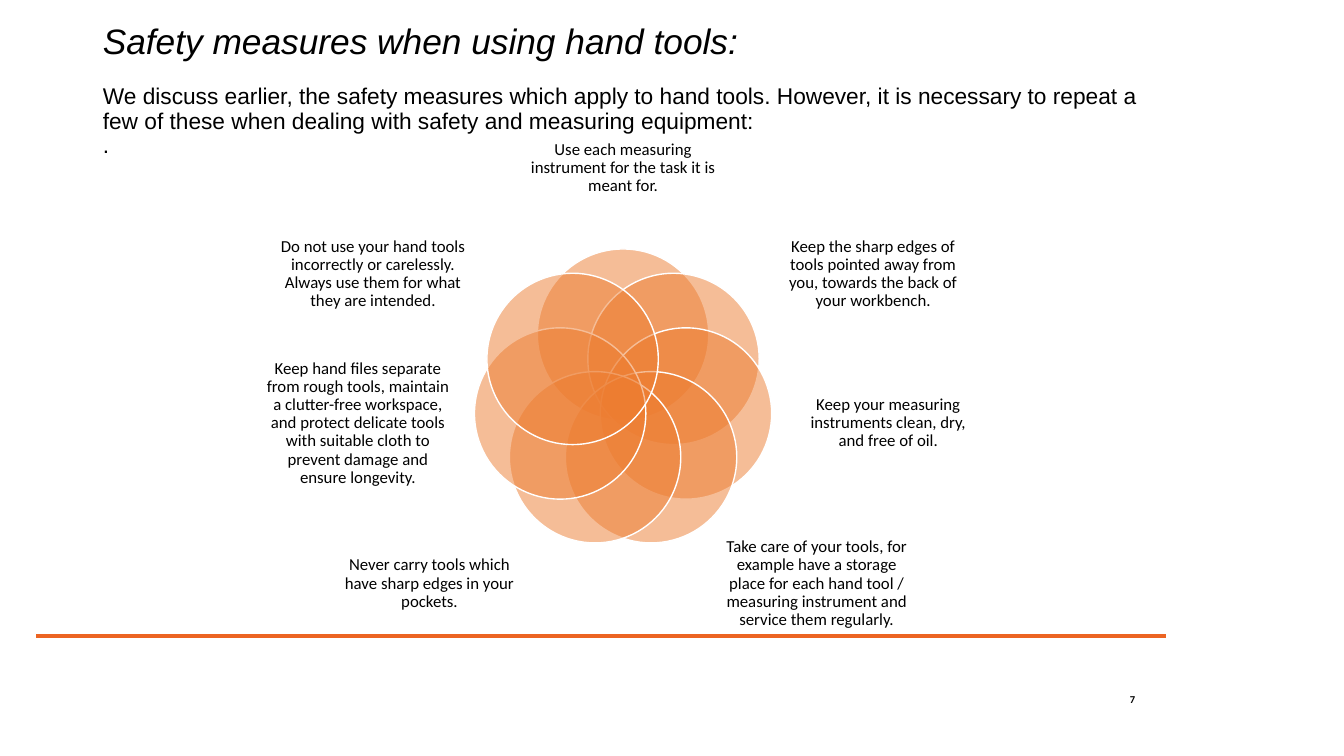
from math import cos, pi, sin

from lxml.etree import SubElement
from pptx import Presentation
from pptx.dml.color import RGBColor
from pptx.enum.shapes import MSO_CONNECTOR, MSO_SHAPE
from pptx.enum.text import MSO_ANCHOR, MSO_AUTO_SIZE, PP_ALIGN
from pptx.oxml.ns import qn
from pptx.util import Inches, Pt

HEADING = [
    ("Safety measures when using hand tools:", 25.2, True, 0),
    ("We discuss earlier, the safety measures which apply to hand tools. However, it is "
     "necessary to repeat a few of these when dealing with safety and measuring equipment:",
     16.2, False, 16.8),
    (".", 16.2, False, 0),
]
MEASURES = [
    "Use each measuring instrument for the task it is meant for.",
    "Keep the sharp edges of tools pointed away from you, towards the back of your workbench.",
    "Keep your measuring instruments clean, dry, and free of oil.",
    "Take care of your tools, for example have a storage place for each hand tool / "
    "measuring instrument and service them regularly.",
    "Never carry tools which have sharp edges in your pockets.",
    "Keep hand files separate from rough tools, maintain a clutter-free workspace, and "
    "protect delicate tools with suitable cloth to prevent damage and ensure longevity.",
    "Do not use your hand tools incorrectly or carelessly. Always use them for what they "
    "are intended.",
]
PAGE_NUMBER = "7"

CENTER_X, CENTER_Y = 6.18, 3.96
RING_RADIUS, PETAL_SIZE = 0.64, 1.7
RIGHT_LABELS = [(2.48, 2.72, 1.84, 1.15), (2.63, 4.2, 1.81, 1.22), (1.92, 5.79, 1.95, 1.12)]
LEFT_LABELS = [(-dx, y, w, h) for dx, y, w, h in reversed(RIGHT_LABELS)]
LABELS = [(0, 1.67, 1.95, 1.04)] + RIGHT_LABELS + LEFT_LABELS


def color(value):
    return RGBColor.from_string(value)


def style(paragraph, font_name, size, align):
    paragraph.alignment = align
    paragraph.line_spacing = 0.9
    paragraph.font.name = font_name
    paragraph.font.size = Pt(size)
    paragraph.font.color.rgb = color("000000")


def add_label(slide, box, text, size, align):
    frame = slide.shapes.add_textbox(*map(Inches, box)).text_frame
    frame.word_wrap = True
    frame.vertical_anchor = MSO_ANCHOR.MIDDLE
    frame.margin_left = frame.margin_right = frame.margin_top = frame.margin_bottom = 0
    label = frame.paragraphs[0]
    label.text = text
    style(label, "Calibri", size, align)
    return label


def add_petal(slide, angle):
    left = CENTER_X + RING_RADIUS * sin(angle) - PETAL_SIZE / 2
    top = CENTER_Y - RING_RADIUS * cos(angle) - PETAL_SIZE / 2
    petal = slide.shapes.add_shape(
        MSO_SHAPE.OVAL, *map(Inches, (left, top, PETAL_SIZE, PETAL_SIZE)))
    petal.shadow.inherit = False
    petal.fill.solid()
    petal.fill.fore_color.rgb = color("ED7D31")
    fill = petal.fill._xPr.find(qn("a:solidFill"))
    SubElement(fill[0], qn("a:alpha"), val="50000")
    petal.line.color.rgb = color("FFFFFF")
    petal.line.width = Pt(1)


def add_heading(slide):
    title = slide.shapes.title
    title.left, title.top, title.width, title.height = map(Inches, (0.92, 0.21, 10.77, 1.39))
    frame = title.text_frame
    frame.word_wrap = True
    frame.auto_size = MSO_AUTO_SIZE.NONE
    frame.vertical_anchor = MSO_ANCHOR.MIDDLE
    for index, (text, size, italic, gap) in enumerate(HEADING):
        line = frame.add_paragraph() if index else frame.paragraphs[0]
        line.text = text
        style(line, "Arial", size, PP_ALIGN.LEFT)
        line.font.italic = italic
        line.space_before = Pt(gap)


def add_footer(slide):
    rule = slide.shapes.add_connector(
        MSO_CONNECTOR.STRAIGHT, *map(Inches, (0.36, 6.31, 11.56, 6.31)))
    rule.line.color.rgb = color("EC6422")
    rule.line.width = Pt(2.25)
    SubElement(rule.line._get_or_add_ln().getparent(), qn("a:effectLst"))
    number = add_label(slide, (10.72, 6.83, 0.54, 0.24), PAGE_NUMBER, 7.5, PP_ALIGN.RIGHT)
    number.font.bold = True


def main():
    prs = Presentation()
    prs.slide_width, prs.slide_height = Inches(13.33), Inches(7.5)
    slide = prs.slides.add_slide(prs.slide_layouts[5])
    add_footer(slide)
    add_heading(slide)
    for index, (measure, (dx, y, w, h)) in enumerate(zip(MEASURES, LABELS)):
        add_petal(slide, 2 * pi * index / len(MEASURES))
        add_label(slide, (CENTER_X + dx - w / 2, y - h / 2, w, h), measure, 12, PP_ALIGN.CENTER)
    prs.save("out.pptx")


if __name__ == "__main__":
    main()
